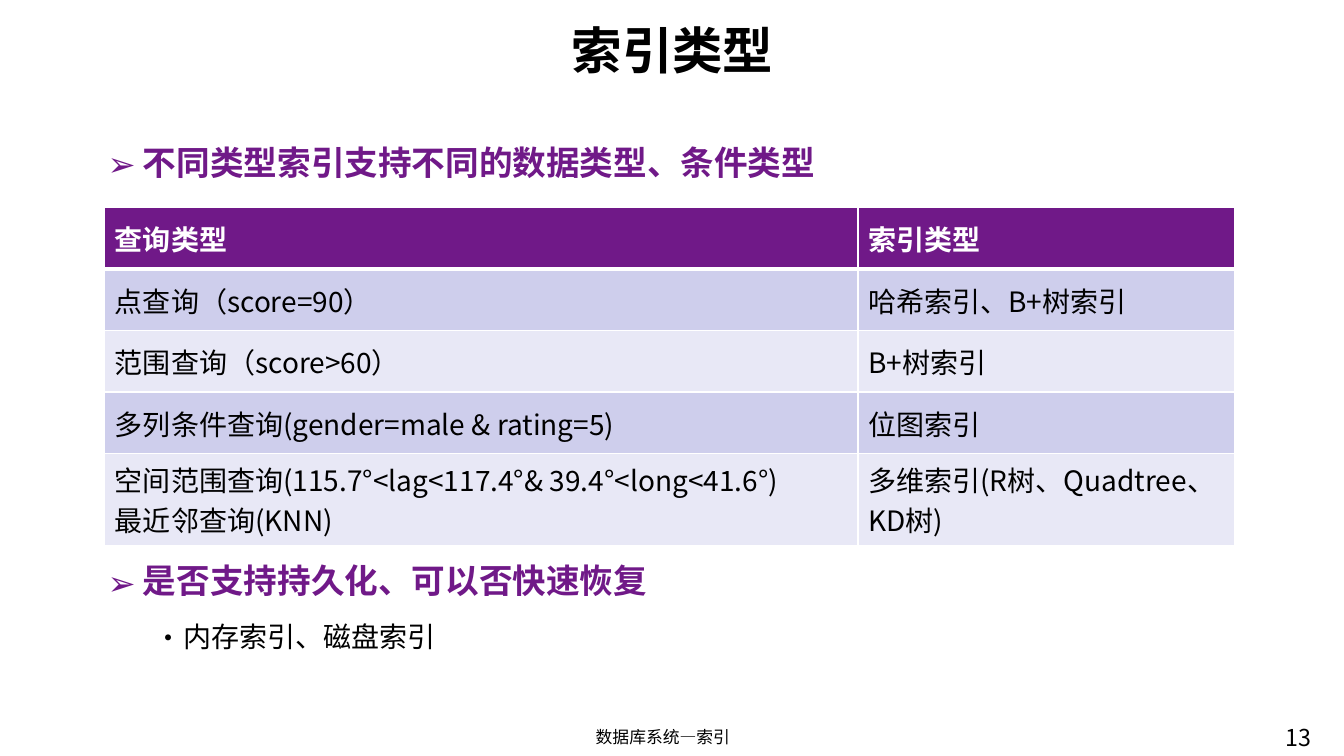
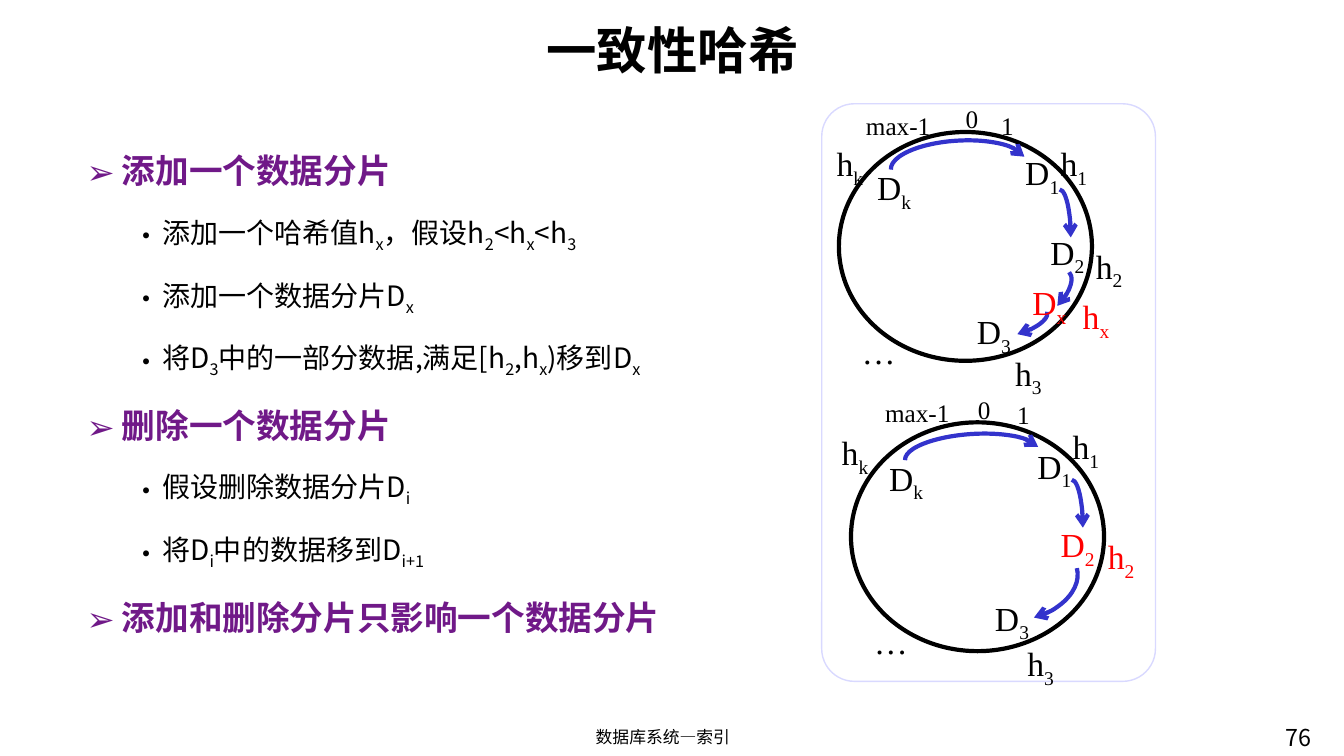
import pptx
import pptx.util
import pptx.dml.color
import pptx.enum.shapes
import pptx.enum.text
import pptx.oxml.ns
from lxml import etree

Inches, Pt = pptx.util.Inches, pptx.util.Pt
SHAPE = pptx.enum.shapes.MSO_SHAPE
ALIGN = pptx.enum.text.PP_ALIGN
ANCHOR = pptx.enum.text.MSO_ANCHOR
SANS, SERIF = "Noto Sans CJK SC", "Times New Roman"
COLORS = {
    "black": "000000", "white": "FFFFFF", "purple": "701988",
    "dark": "CECEEC", "light": "E8E8F6", "frame": "D9D9FF",
    "blue": "3333CC", "red": "FF0000",
}
# Bullet levels: mark, left margin, hanging indent, size, color, bold
LEVELS = [("➢", 0.35, 0.35, 24, "purple", True),
          ("•", 0.75, 0.29, 20, "black", False)]


def color(name):
    return pptx.dml.color.RGBColor.from_string(COLORS[name])


def add(parent, tag, **attrs):
    return etree.SubElement(parent, pptx.oxml.ns.qn(tag), attrs)


def style(para, size, hue="black", bold=False, face=SANS):
    font = para.font
    font.name, font.size, font.bold = face, Pt(size), bold
    font.color.rgb = color(hue)
    add(para._p.get_or_add_pPr().find(pptx.oxml.ns.qn("a:defRPr")),
        "a:ea", typeface=face)


def write(para, text):
    """Fill a paragraph; pieces between bars are subscripts."""
    for i, piece in enumerate(text.split("|")):
        if piece:
            run = para.add_run()
            run.text = piece
            if i % 2:
                run._r.get_or_add_rPr().set("baseline", "-25000")


def frame(slide, box):
    text = slide.shapes.add_textbox(*map(Inches, box)).text_frame
    text.word_wrap = True
    return text


def label(slide, box, text, size, hue="black", bold=False, face=SANS,
          align=ALIGN.LEFT, anchor=ANCHOR.TOP):
    area = frame(slide, box)
    area.vertical_anchor = anchor
    para = area.paragraphs[0]
    para.alignment = align
    write(para, text)
    style(para, size, hue, bold, face)


def bullets(slide, box, items, lead):
    area = frame(slide, box)
    for i, (level, text) in enumerate(items):
        mark, left, hang, size, hue, bold = LEVELS[level]
        para = area.add_paragraph() if i else area.paragraphs[0]
        para.level = level
        para.line_spacing = lead
        para.space_before = Pt(4 if i else 0)
        props = para._p.get_or_add_pPr()
        props.set("marL", str(Inches(left)))
        props.set("indent", str(-Inches(hang)))
        add(props, "a:buFont", typeface=SANS)
        add(props, "a:buChar", char=mark)
        write(para, text)
        style(para, size, hue, bold)


def page(deck, title, number):
    """Blank slide with the shared title, footer and page number."""
    slide = deck.slides.add_slide(deck.slide_layouts[6])
    label(slide, (1.15, 0.12, 11.04, 0.74), title, 36, bold=True,
          align=ALIGN.CENTER, anchor=ANCHOR.MIDDLE)
    label(slide, (4.47, 7.16, 4.21, 0.34), "数据库系统—索引", 12,
          align=ALIGN.CENTER)
    label(slide, (12.65, 7.13, 0.84, 0.52), number, 16.6)
    return slide


def edge(cell, side, width):
    """White border; borders come before the fill in the cell."""
    props = cell._tc.get_or_add_tcPr()
    line = add(props, "a:ln" + side, w=str(Pt(width)))
    add(add(line, "a:solidFill"), "a:srgbClr", val=COLORS["white"])
    props.insert("LRTB".index(side), line)


def grid(slide, box, widths, heights, rows):
    table = slide.shapes.add_table(
        len(rows), len(widths), *map(Inches, box)).table
    for column, width in zip(table.columns, widths):
        column.width = Inches(width)
    for r, texts in enumerate(rows):
        table.rows[r].height = Inches(heights[r])
        for c, text in enumerate(texts):
            cell = table.cell(r, c)
            cell.vertical_anchor = ANCHOR.MIDDLE
            cell.fill.solid()
            cell.fill.fore_color.rgb = color(
                ("dark" if r % 2 else "light") if r else "purple")
            cell.text = text
            for para in cell.text_frame.paragraphs:
                style(para, 20, "black" if r else "white", not r)
            for side in "LRTB":
                thick = (r, side) in ((0, "B"), (1, "T"))
                edge(cell, side, 3 if thick else 1)


def shape(slide, kind, box, hue, width, fill=None):
    item = slide.shapes.add_shape(kind, *map(Inches, box))
    item.shadow.inherit = False
    if fill:
        item.fill.solid()
        item.fill.fore_color.rgb = color(fill)
    else:
        item.fill.background()
    item.line.color.rgb = color(hue)
    item.line.width = Pt(width)
    return item


def arrow(slide, box, turn=0, sweep=None):
    arc = shape(slide, SHAPE.ARC, box, "blue", 3)
    arc.rotation = turn
    if sweep:
        arc.adjustments[0], arc.adjustments[1] = sweep
    add(arc.line._get_or_add_ln(), "a:tailEnd", type="arrow")


# Label places relative to the top left of a ring
SPOTS = {
    "0": (1.16, -0.33), "1": (1.51, -0.26), "max-1": (0.17, -0.26),
    "h|1": (2.1, 0.06), "h|2": (2.45, 1.08), "h|3": (1.65, 2.14),
    "h|k": (-0.12, 0.06), "…": (0.13, 1.92), "D|1": (1.75, 0.15),
    "D|2": (2, 0.94), "D|3": (1.27, 1.73), "D|k": (0.28, 0.3),
}


def ring(slide, left, top, arcs, moves, reds):
    shape(slide, SHAPE.OVAL, (left, top, 2.51, 2.27), "black", 3)
    for x, y, width, height, *turn in arcs:
        arrow(slide, (left + x, top + y, width, height), *turn)
    for text, (x, y) in {**SPOTS, **moves}.items():
        small = text in ("0", "1", "max-1")
        width = 1.09 if text == "max-1" else 0.71
        label(slide, (left + x, top + y, width, 0.4), text,
              18 if small else 24, "red" if text in reds else "black",
              face=SERIF)


def rings(slide, left, top):
    """Panel with the ring after adding and after removing a shard."""
    panel = shape(slide, SHAPE.ROUNDED_RECTANGLE, (left, top, 3.31, 5.73),
                  "frame", 1, "white")
    panel.adjustments[0] = 0.098
    sweep = (162, 51.69)
    down = (2.08, 0.57, 0.22, 0.95)
    ring(slide, left + 0.17, top + 0.28,
         [down, (0.94, -0.34, 0.49, 1.34, 266.4, sweep),
          (1.91, 1.3, 0.3, 0.64, 44.4), (1.6, 1.53, 0.27, 0.69, 74.6)],
         {"h|x": (2.32, 1.58), "D|x": (1.82, 1.44)}, ("h|x", "D|x"))
    ring(slide, left + 0.29, top + 3.16,
         [down, (0.99, -0.34, 0.43, 1.34, 266.2, sweep),
          (1.36, 1.05, 0.72, 1.08, 74.6)],
         {"1": (1.55, -0.28), "max-1": (0.24, -0.3), "h|1": (2.1, -0.01),
          "h|k": (-0.19, 0.05), "D|1": (1.75, 0.18), "D|2": (1.98, 0.96),
          "D|3": (1.33, 1.69)}, ("h|2", "D|2"))


def types(deck):
    slide = page(deck, "索引类型", "13")
    bullets(slide, (0.97, 1.28, 12.1, 0.7),
            [(0, "不同类型索引支持不同的数据类型、条件类型")], 1.2)
    grid(slide, (1.04, 2.06, 11.21, 3.35), (7.47, 3.74),
         [0.61] * 4 + [0.91], [
        ("查询类型", "索引类型"),
        ("点查询（score=90）", "哈希索引、B+树索引"),
        ("范围查询（score>60）", "B+树索引"),
        ("多列条件查询(gender=male & rating=5)", "位图索引"),
        ("空间范围查询(115.7°<lag<117.4°& 39.4°<long<41.6°)\n最近邻查询(KNN)",
         "多维索引(R树、Quadtree、KD树)"),
    ])
    bullets(slide, (0.97, 5.35, 12.1, 1.28),
            [(0, "是否支持持久化、可以否快速恢复"),
             (1, "内存索引、磁盘索引")], 1.4)


def hashing(deck):
    slide = page(deck, "一致性哈希", "76")
    bullets(slide, (0.76, 1.24, 7.28, 5.68), [
        (0, "添加一个数据分片"),
        (1, "添加一个哈希值h|x|，假设h|2|<h|x|<h|3"),
        (1, "添加一个数据分片D|x"),
        (1, "将D|3|中的一部分数据,满足[h|2|,h|x|)移到D|x"),
        (0, "删除一个数据分片"),
        (1, "假设删除数据分片D|i"),
        (1, "将D|i|中的数据移到D|i+1"),
        (0, "添加和删除分片只影响一个数据分片"),
    ], 1.5)
    rings(slide, 8.15, 1.03)


def main():
    deck = pptx.Presentation()
    deck.slide_width, deck.slide_height = Inches(13.33), Inches(7.5)
    types(deck)
    hashing(deck)
    deck.save("out.pptx")


if __name__ == "__main__":
    main()
